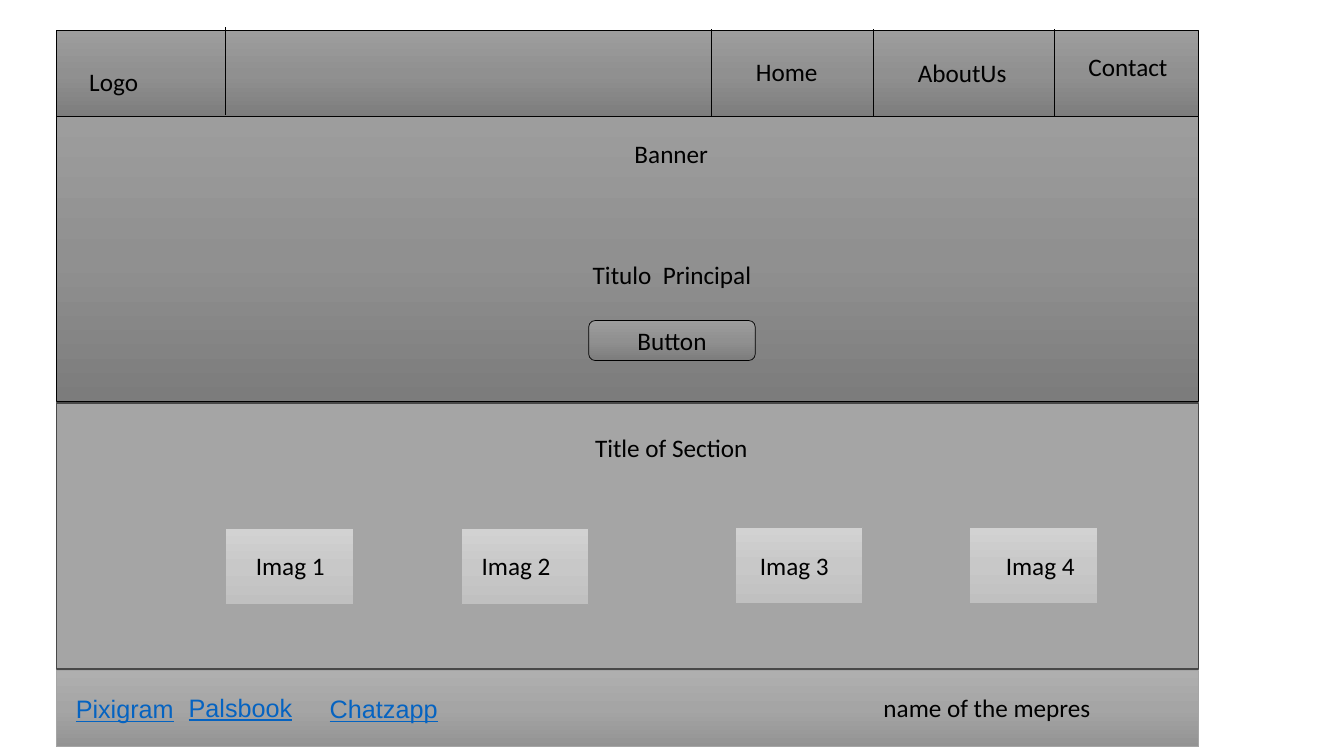
import copy

import pptx
import pptx.dml.color
import pptx.enum.shapes
import pptx.enum.text
import pptx.oxml
import pptx.oxml.ns
import pptx.util

SLIDE_WIDTH = pptx.util.Inches(13.333)
SLIDE_HEIGHT = pptx.util.Inches(7.5)
PAGE_LEFT, PAGE_WIDTH = 4.2, 85
LABEL_HEIGHT = 5.3
PANEL_SHADES = ("9D9D9D", "909090", "7C7C7C")
CARD_SHADES = ("D2D2D2", "C8C8C8", "C0C0C0")
FOOTER_SHADES = ("AFAFAF", "A5A5A5", "939393")
BLACK, GREY, DARK_GREY, LINK_BLUE = "000000", "A5A5A5", "484848", "0563C1"
SHAPES = pptx.enum.shapes.MSO_SHAPE
ALIGN = pptx.enum.text.PP_ALIGN


def color(hex_code):
    return pptx.dml.color.RGBColor.from_string(hex_code)


def col(share):
    return round(SLIDE_WIDTH * share / 100)


def row(share):
    return round(SLIDE_HEIGHT * share / 100)


def write(frame, text, font="Calibri", size=18, ink=BLACK, align=ALIGN.LEFT, underline=False):
    frame.word_wrap = True
    paragraph = frame.paragraphs[0]
    paragraph.alignment = align
    run = paragraph.add_run()
    run.text = text
    run.font.name = font
    run.font.size = pptx.util.Pt(size)
    run.font.color.rgb = color(ink)
    if underline:
        run.font.underline = True


def shade(panel, shades):
    panel.fill.gradient()
    panel.fill.gradient_angle = 270
    stop_list = panel._element.spPr.find(".//" + pptx.oxml.ns.qn("a:gsLst"))
    stop_list.insert(1, copy.deepcopy(stop_list[0]))
    for stop, tone, position in zip(panel.fill.gradient_stops, shades, (0, 0.5, 1)):
        stop.color.rgb = color(tone)
        stop.position = position


def add_panel(slide, x, y, width, height, shades, border=BLACK, weight=0.5, kind=SHAPES.RECTANGLE):
    panel = slide.shapes.add_shape(kind, col(x), row(y), col(width), row(height))
    panel.shadow.inherit = False
    if len(shades) == 1:
        panel.fill.solid()
        panel.fill.fore_color.rgb = color(shades[0])
    else:
        shade(panel, shades)
    panel.line.color.rgb = color(border)
    panel.line.width = pptx.util.Pt(weight)
    return panel


def add_label(slide, text, x, y, width, **text_format):
    label = slide.shapes.add_textbox(col(x), row(y), col(width), row(LABEL_HEIGHT))
    write(label.text_frame, text, **text_format)
    label.text_frame.auto_size = pptx.enum.text.MSO_AUTO_SIZE.SHAPE_TO_FIT_TEXT


def add_divider(slide, x, top, bottom, weight):
    divider = slide.shapes.add_connector(
        pptx.enum.shapes.MSO_CONNECTOR.STRAIGHT, col(x), row(top), col(x), row(bottom))
    divider.line.color.rgb = color(BLACK)
    divider.line.width = pptx.util.Pt(weight)
    divider._element.spPr.append(pptx.oxml.parse_xml(
        "<a:effectLst %s/>" % pptx.oxml.ns.nsdecls("a")))


def add_navigation(slide):
    add_panel(slide, PAGE_LEFT, 4, PAGE_WIDTH, 11.7, PANEL_SHADES)
    add_divider(slide, 16.8, 3.6, 15.2, 1)
    for x in (52.95, 65, 78.45):
        add_divider(slide, x, 3.9, 15.4, 0.5)
    for text, x, y, width in (
        ("Logo", 5.9, 8.1, 8.85),
        ("Home", 55.5, 6.8, 9.8),
        ("AboutUs", 67.55, 6.9, 8.4),
        ("Contact", 80.25, 6.1, 9.3),
    ):
        add_label(slide, text, x, y, width)


def add_banner(slide):
    add_panel(slide, PAGE_LEFT, 15.4, PAGE_WIDTH, 37.7, PANEL_SHADES)
    add_label(slide, "Banner", 44.7, 17.6, 10.5, align=ALIGN.CENTER)
    add_label(slide, "Titulo  Principal", 41.55, 33.7, 16.9, align=ALIGN.CENTER)
    button = add_panel(slide, 43.8, 42.4, 12.4, LABEL_HEIGHT, PANEL_SHADES,
                       kind=SHAPES.ROUNDED_RECTANGLE)
    button.text_frame.vertical_anchor = pptx.enum.text.MSO_ANCHOR.MIDDLE
    write(button.text_frame, "Button", align=ALIGN.CENTER)


def add_section(slide):
    add_panel(slide, PAGE_LEFT, 53.3, PAGE_WIDTH, 35.2, (GREY,), DARK_GREY, 1)
    add_label(slide, "Title of Section", 40.4, 56.5, 19.1, align=ALIGN.CENTER)
    cards = ((16.8, 69.9, 18.3), (34.3, 69.9, 35.1), (54.7, 69.7, 55.8), (72.15, 69.7, 74.1))
    for number, (x, y, label_x) in enumerate(cards, 1):
        add_panel(slide, x, y, 9.5, 10.1, CARD_SHADES, GREY)
        add_label(slide, f"Imag {number}", label_x, 72.1, 7.6)


def add_footer(slide):
    add_panel(slide, PAGE_LEFT, 88.7, PAGE_WIDTH, 10.1, FOOTER_SHADES, GREY)
    for text, x, y, width in (
        ("Pixigram", 4.9, 91.1, 9.8),
        ("Palsbook", 13.3, 90.9, 10.9),
        ("Chatzapp", 23.8, 91.1, 12.2),
    ):
        add_label(slide, text, x, y, width, font="Arial", ink=LINK_BLUE, underline=True)
    add_label(slide, "name of the mepres", 65, 90.9, 22.1)


def main():
    deck = pptx.Presentation()
    deck.slide_width, deck.slide_height = SLIDE_WIDTH, SLIDE_HEIGHT
    slide = deck.slides.add_slide(deck.slide_layouts[6])
    add_navigation(slide)
    add_banner(slide)
    add_section(slide)
    add_footer(slide)
    deck.save("out.pptx")


if __name__ == "__main__":
    main()
